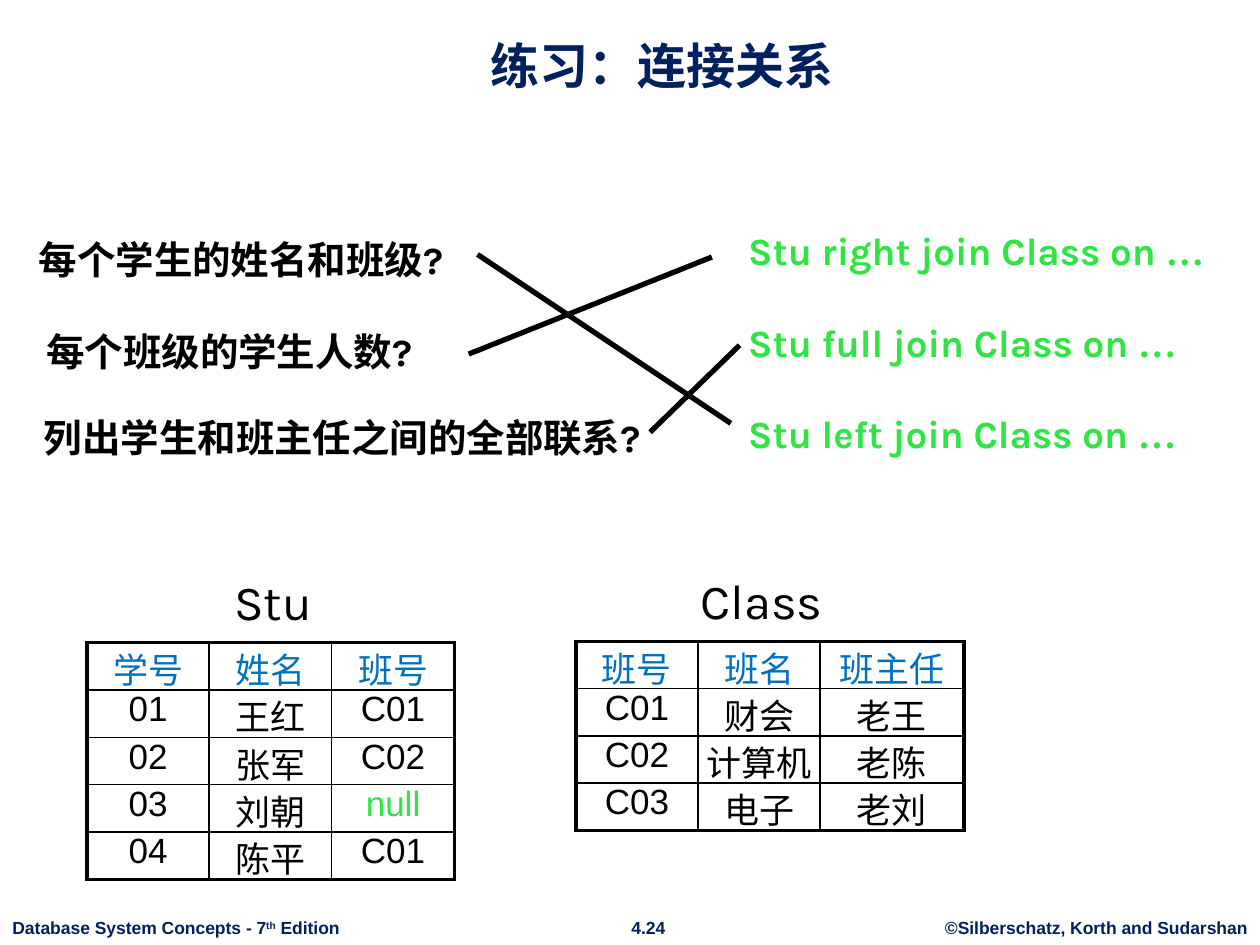
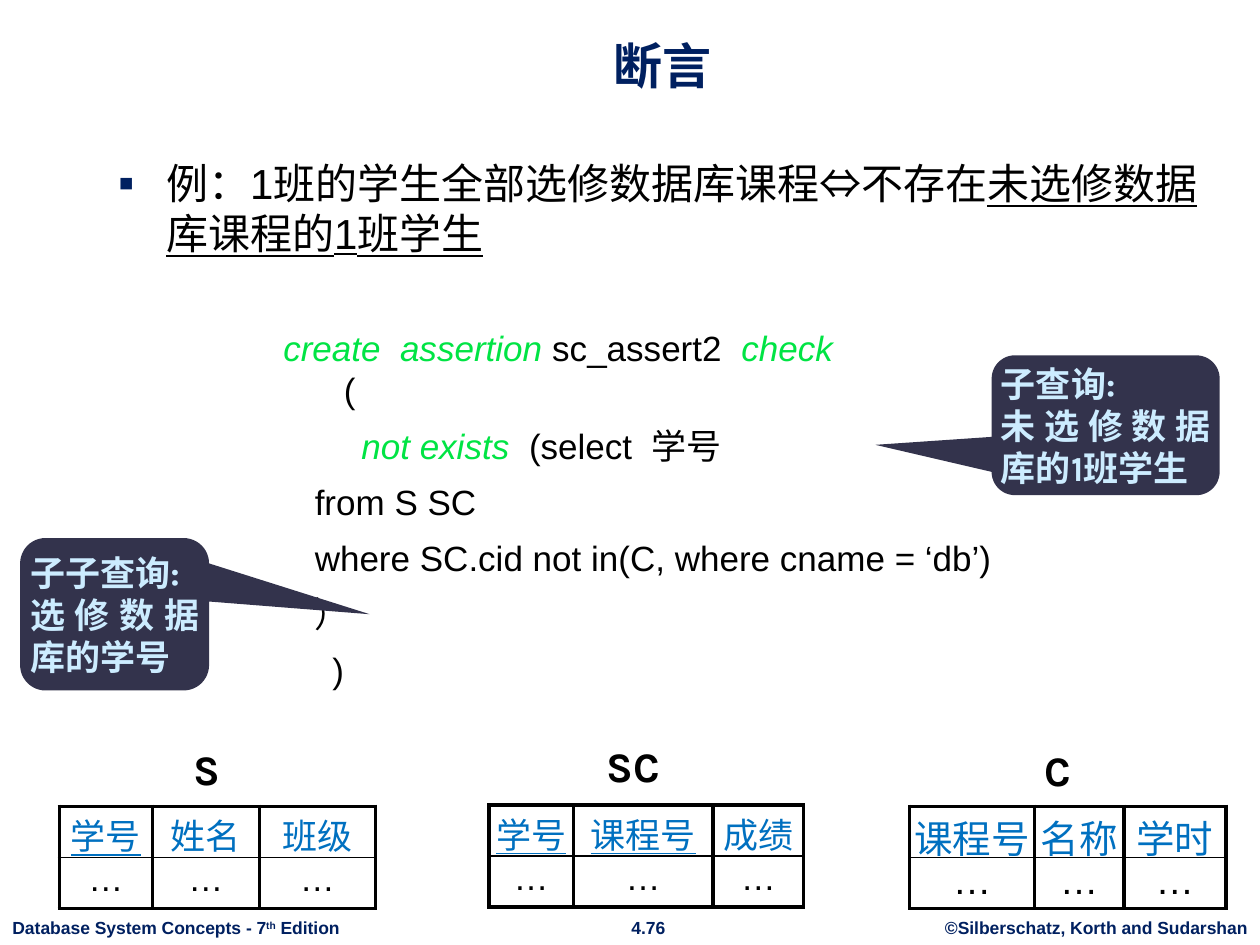
from lxml import etree
from pptx import Presentation
from pptx.dml.color import RGBColor
from pptx.enum.shapes import MSO_CONNECTOR, MSO_SHAPE
from pptx.enum.text import MSO_ANCHOR, PP_ALIGN
from pptx.oxml.ns import qn
from pptx.util import Pt

EMU_PER_PX = 9144
NAVY = RGBColor(0x00, 0x20, 0x60)
BLACK = RGBColor(0x00, 0x00, 0x00)
WHITE = RGBColor(0xFF, 0xFF, 0xFF)
BLUE = RGBColor(0x00, 0x70, 0xC0)
JOIN_GREEN = RGBColor(0x30, 0xE4, 0x44)
CODE_GREEN = RGBColor(0x00, 0xE4, 0x44)
CALLOUT_FILL = RGBColor(0x33, 0x33, 0x4C)
CALLOUT_TEXT = RGBColor(0xCC, 0xEC, 0xFF)
ARIAL, KARLA, TIMES = "Arial", "Karla", "Times New Roman"
LEFT, CENTER, JUSTIFY = PP_ALIGN.LEFT, PP_ALIGN.CENTER, PP_ALIGN.JUSTIFY
TOP, MIDDLE, BOTTOM = MSO_ANCHOR.TOP, MSO_ANCHOR.MIDDLE, MSO_ANCHOR.BOTTOM
STRAIGHT = MSO_CONNECTOR.STRAIGHT
CALLOUT = MSO_SHAPE.ROUNDED_RECTANGULAR_CALLOUT
THICK, THIN = 2.25, 1


def px(length):
    return length * EMU_PER_PX


def write(paragraph, text, size=20, font=ARIAL, color=BLACK, bold=False,
          italic=False, underline=False, baseline=0):
    run = paragraph.add_run()
    run.text = text
    run.font.size = Pt(size)
    run.font.name = font
    run.font.color.rgb = color
    run.font.bold = bold
    run.font.italic = italic
    run.font.underline = underline
    if baseline:
        run.font._element.set("baseline", str(baseline * 1000))


def set_indent(paragraph, left, first=0):
    properties = paragraph._p.get_or_add_pPr()
    properties.set("marL", str(px(left)))
    properties.set("indent", str(px(first)))


def add_bullet(paragraph, character, color, percent):
    properties = paragraph._p.get_or_add_pPr()
    bullet_color = etree.SubElement(properties, qn("a:buClr"))
    etree.SubElement(bullet_color, qn("a:srgbClr"), val=str(color))
    etree.SubElement(properties, qn("a:buSzPct"), val=str(percent * 1000))
    etree.SubElement(properties, qn("a:buFont"), typeface=ARIAL)
    etree.SubElement(properties, qn("a:buChar"), char=character)


def set_borders(cell, **widths):
    properties = cell._tc.get_or_add_tcPr()
    for side, width in widths.items():
        line = etree.SubElement(properties, qn("a:ln" + side), w=str(Pt(width)))
        fill = etree.SubElement(line, qn("a:solidFill"))
        etree.SubElement(fill, qn("a:srgbClr"), val=str(BLACK))


class Deck:
    def __init__(self):
        self.presentation = Presentation()
        self.presentation.slide_width = px(1000)
        self.presentation.slide_height = px(750)
        self.slide = None

    def new_slide(self, title, number):
        self.slide = self.presentation.slides.add_slide(
            self.presentation.slide_layouts[6])
        footer = dict(size=10, color=NAVY, bold=True)
        self.text(740, 723, 260, 27, "©Silberschatz, Korth and Sudarshan",
                  align=CENTER, wrap=False, **footer)
        self.text(490, 723, 49, 27, number, align=CENTER, wrap=False, **footer)
        edition = self.text(0, 723, 281, 27, "Database System Concepts - 7",
                            wrap=False, **footer)
        write(edition, "th", baseline=30, **footer)
        write(edition, " Edition", **footer)
        self.text(84, 13, 883, 67, title, align=CENTER, anchor=BOTTOM,
                  size=28, color=NAVY, bold=True)

    def frame(self, left, top, width, height, anchor=TOP, wrap=True):
        box = self.slide.shapes.add_textbox(px(left), px(top), px(width), px(height))
        box.text_frame.word_wrap = wrap
        box.text_frame.vertical_anchor = anchor
        return box.text_frame

    def text(self, left, top, width, height, text, align=LEFT, anchor=TOP,
             wrap=True, spacing=1.0, **style):
        paragraph = self.frame(left, top, width, height, anchor, wrap).paragraphs[0]
        paragraph.alignment = align
        paragraph.line_spacing = spacing
        write(paragraph, text, **style)
        return paragraph

    def line(self, start, end):
        connector = self.slide.shapes.add_connector(
            STRAIGHT, *map(px, start), *map(px, end))
        connector.line.color.rgb = BLACK
        connector.line.width = Pt(3)
        etree.SubElement(connector._element.spPr, qn("a:effectLst"))

    def callout(self, left, top, width, height, tip, lines):
        shape = self.slide.shapes.add_shape(
            CALLOUT, px(left), px(top), px(width), px(height))
        shape.shadow.inherit = False
        shape.fill.solid()
        shape.fill.fore_color.rgb = CALLOUT_FILL
        shape.line.fill.background()
        shape.adjustments[0], shape.adjustments[1] = tip
        frame = shape.text_frame
        frame.word_wrap = True
        frame.vertical_anchor = MIDDLE
        frame.margin_left = frame.margin_right = px(2)
        frame.margin_top = frame.margin_bottom = px(5)
        for index, text in enumerate(lines):
            paragraph = frame.add_paragraph() if index else frame.paragraphs[0]
            paragraph.alignment = JUSTIFY
            write(paragraph, text, font=KARLA, color=CALLOUT_TEXT, bold=True)

    def table(self, left, top, height, widths, rows, header_size=20, keys=0,
              inner=THIN, margin=0, accents=()):
        table = self.slide.shapes.add_table(
            len(rows), len(widths), px(left), px(top),
            px(sum(widths)), px(height)).table
        table.first_row = table.horz_banding = False
        for column, width in zip(table.columns, widths):
            column.width = px(width)
        last_row, last_column = len(rows) - 1, len(widths) - 1
        for r, texts in enumerate(rows):
            for c, text in enumerate(texts):
                cell = table.cell(r, c)
                cell.margin_left = cell.margin_right = 0
                cell.margin_top = cell.margin_bottom = px(margin)
                set_borders(cell,
                            L=inner if c else THICK,
                            R=inner if c < last_column else THICK,
                            T=THIN if r else THICK,
                            B=THIN if r < last_row else THICK)
                cell.fill.solid()
                cell.fill.fore_color.rgb = WHITE
                paragraph = cell.text_frame.paragraphs[0]
                paragraph.alignment = CENTER
                if r == 0:
                    write(paragraph, text, size=header_size, color=BLUE,
                          underline=c < keys)
                else:
                    write(paragraph, text, size=header_size,
                          color=JOIN_GREEN if text in accents else BLACK)


def build_join_exercise(deck):
    deck.new_slide("练习：连接关系", "4.24")
    deck.table(69, 510, 188, (97, 97, 98), (
        ("学号", "姓名", "班号"),
        ("01", "王红", "C01"),
        ("02", "张军", "C02"),
        ("03", "刘朝", "null"),
        ("04", "陈平", "C01")), accents=("null",))
    deck.table(457, 509, 150, (97, 97, 114), (
        ("班号", "班名", "班主任"),
        ("C01", "财会", "老王"),
        ("C02", "计算机", "老陈"),
        ("C03", "电子", "老刘")))
    for left, top, name in ((154, 449, "Stu"), (542, 448, "Class")):
        deck.text(left, top, 125, 57, name, align=CENTER, size=28, font=KARLA)

    statement = dict(size=22, font=KARLA, bold=True)
    for left, top, width, question in (
            (21, 177, 394, "每个学生的姓名和班级?"),
            (27, 250, 394, "每个班级的学生人数?"),
            (25, 318, 495, "列出学生和班主任之间的全部联系?")):
        deck.text(left, top, width, 52, question, spacing=1.15, **statement)
    for top, kind in ((170, "right"), (243, "full"), (315, "left")):
        answer = deck.text(584, top, 416, 52, f"Stu {kind} join Class on ",
                           spacing=1.15, color=JOIN_GREEN, **statement)
        write(answer, "…", size=22, font=TIMES, color=JOIN_GREEN, bold=True)

    for start, end in (((379, 202), (580, 336)),
                       ((372, 281), (565, 204)),
                       ((516, 343), (587, 274))):
        deck.line(start, end)


def build_assertion(deck):
    deck.new_slide("断言", "4.76")
    frame = deck.frame(84, 120, 906, 536)
    example = frame.paragraphs[0]
    set_indent(example, 38, -38)
    add_bullet(example, "▪", NAVY, 110)
    write(example, "例：1班的学生全部选修数据库课程⇔不存在", size=24)
    write(example, "未选修数据库课程的1班学生", size=24, underline=True)

    keyword = dict(color=CODE_GREEN, italic=True)
    for indent, before, runs in (
            (131, 39, (("create  assertion", keyword), (" sc_assert2  ", {}),
                       ("check", keyword))),
            (179, 0, (("(", {}),)),
            (193, 8, (("not exists  ", keyword), ("(select  学号", {}))),
            (156, 8, (("from S SC", {}),)),
            (156, 8, (("where SC.cid not in(C, where cname = ‘db’)", {}),)),
            (156, 8, (("）", {}),)),
            (170, 8, ((")", {}),))):
        paragraph = frame.add_paragraph()
        set_indent(paragraph, indent)
        paragraph.space_before = Pt(before)
        for text, style in runs:
            write(paragraph, text, **style)

    for left, top, widths, header, keys, size, name, name_left, name_top in (
            (388, 639, (67, 111, 72), ("学号", "课程号", "成绩"), 2, 20, "SC", 443, 583),
            (47, 640, (74, 85, 92), ("学号", "姓名", "班级"), 1, 20, "S", 105, 585),
            (722, 640, (99, 71, 81), ("课程号", "名称", "学时"), 1, 22, "C", 780, 586)):
        deck.table(left, top, 81, widths, (header, ("…",) * 3), header_size=size,
                   keys=keys, inner=THICK, margin=2)
        deck.text(name_left, name_top, 119, 50, name, align=CENTER, size=24,
                  font=KARLA, bold=True)

    deck.callout(16, 427, 150, 121, (1.35, 0), ("子子查询:", "选修数据库的学号"))
    deck.callout(787, 282, 181, 111, (-1.01, 0.14),
                 ("子查询:", "未选修数据库的1班学生"))


def main():
    deck = Deck()
    build_join_exercise(deck)
    build_assertion(deck)
    deck.presentation.save("out.pptx")


if __name__ == "__main__":
    main()
